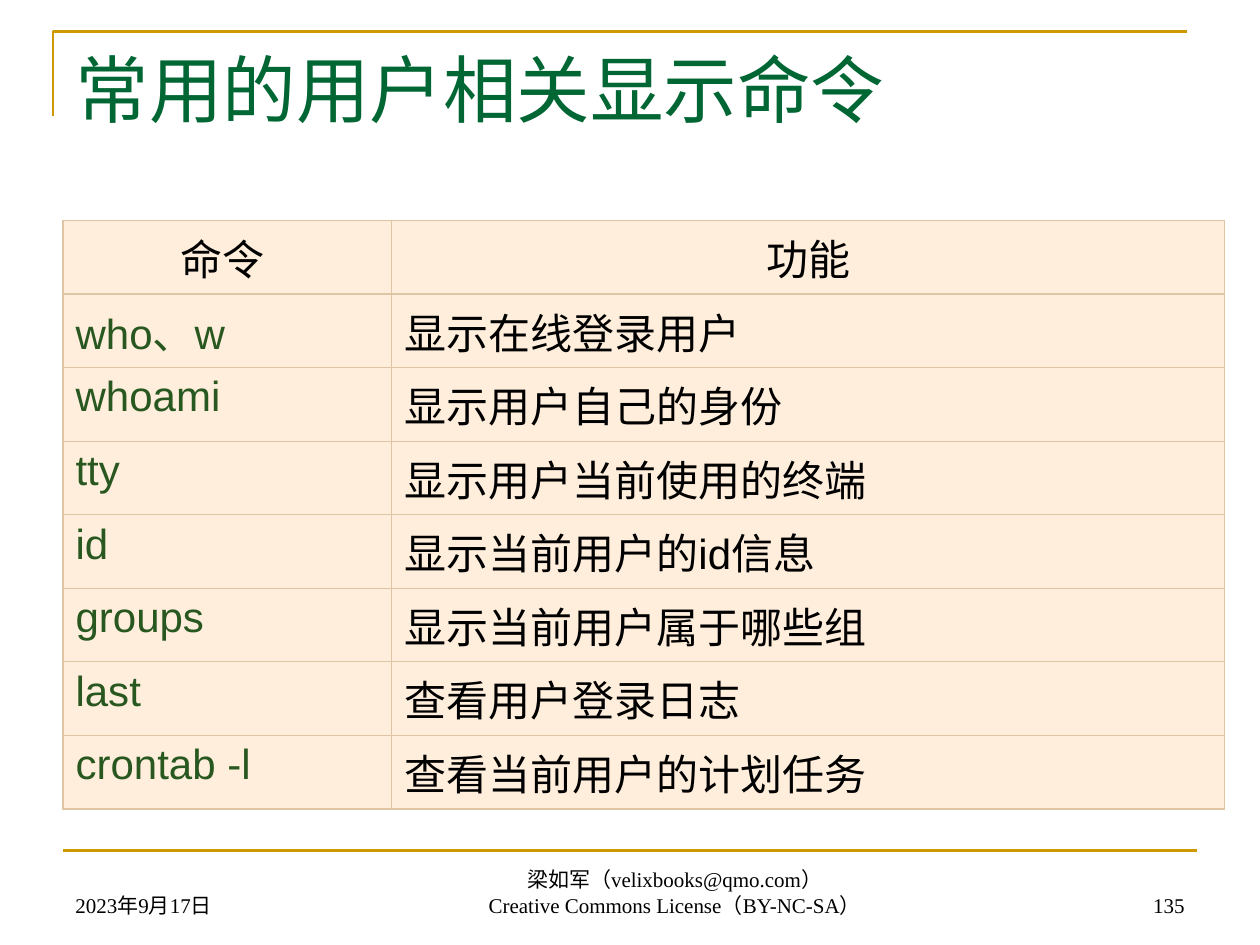
import pptx
import pptx.util
import pptx.dml.color
import pptx.enum.shapes
import pptx.enum.text
import pptx.oxml
import pptx.oxml.ns
from lxml import etree

Inches = pptx.util.Inches
Pt = pptx.util.Pt
ALIGN = pptx.enum.text.PP_ALIGN
ANCHOR = pptx.enum.text.MSO_ANCHOR

COLORS = {
    "gold": "CC9900",
    "title": "006633",
    "command": "285720",
    "text": "000000",
    "cell": "FFEEDC",
    "border": "DEC6A5",
}

COMMANDS = [
    ("命令 ", "功能"),
    ("who、w", "显示在线登录用户"),
    ("whoami", "显示用户自己的身份"),
    ("tty", "显示用户当前使用的终端"),
    ("id", "显示当前用户的id信息"),
    ("groups", "显示当前用户属于哪些组"),
    ("last", "查看用户登录日志"),
    ("crontab -l", "查看当前用户的计划任务"),
]


def rgb(name):
    return pptx.dml.color.RGBColor.from_string(COLORS[name])


def write(frame, lines, font, size, color, align):
    """Fill a text frame with one paragraph per line."""
    frame.text = "\n".join(lines)
    for paragraph in frame.paragraphs:
        paragraph.alignment = align
        for run in paragraph.runs:
            for key, value in {"name": font, "size": Pt(size), "bold": False}.items():
                setattr(run.font, key, value)
            run.font.color.rgb = rgb(color)


def style_rule(rule):
    rule.line.color.rgb = rgb("gold")
    rule.line.width = Pt(1.5)


def add_title(slide, left, top, width, height):
    # Corner rule
    builder = slide.shapes.build_freeform(Inches(left - 0.08), Inches(top + 0.62))
    builder.add_line_segments(
        [(Inches(left - 0.08), Inches(top - 0.05)),
         (Inches(left + width - 0.08), Inches(top - 0.05))], close=False)
    corner = builder.convert_to_shape()
    corner.fill.background()
    corner.shadow.inherit = False
    style_rule(corner)

    # Heading
    title = slide.shapes.title
    box = {"left": left, "top": top, "width": width, "height": height}
    for key, value in box.items():
        setattr(title, key, Inches(value))
    title.text_frame.vertical_anchor = ANCHOR.TOP
    write(title.text_frame, ["常用的用户相关显示命令"],
          "Times New Roman", 42, "title", ALIGN.LEFT)


def add_border(cell):
    properties = cell._tc.get_or_add_tcPr()
    for position, side in enumerate(("lnL", "lnR", "lnT", "lnB")):
        properties.insert(position, pptx.oxml.parse_xml(
            f'<a:{side} {pptx.oxml.ns.nsdecls("a")} w="{Pt(0.75)}"><a:solidFill>'
            f'<a:srgbClr val="{COLORS["border"]}"/></a:solidFill></a:{side}>'))


def add_commands(slide, left, top, width, height):
    table = slide.shapes.add_table(
        len(COMMANDS), 2, Inches(left), Inches(top), Inches(width), Inches(height)).table
    command_width = 2.61
    table.columns[0].width = Inches(command_width)
    table.columns[1].width = Inches(width - command_width)
    for row, entry in enumerate(COMMANDS):
        for column, words in enumerate(entry):
            cell = table.cell(row, column)
            cell.fill.solid()
            cell.fill.fore_color.rgb = rgb("cell")
            add_border(cell)
            color = "command" if row and column == 0 else "text"
            align = ALIGN.LEFT if row else ALIGN.CENTER
            write(cell.text_frame, [words], "Arial", 24, color, align)
            # Hanging indent
            indent = cell.text_frame.paragraphs[0]._p.get_or_add_pPr()
            indent.set("marL", str(Inches(0.38)))
            indent.set("indent", str(-Inches(0.38)))


def add_footer(slide, left, top, width, height):
    # Rule above the footer
    rule = slide.shapes.add_connector(
        pptx.enum.shapes.MSO_CONNECTOR.STRAIGHT,
        Inches(left), Inches(top), Inches(left + width), Inches(top))
    style_rule(rule)
    etree.SubElement(rule._element.spPr, pptx.oxml.ns.qn("a:effectLst"))

    # Date, author and page number
    side = 2.33
    parts = [
        (left, side, ALIGN.LEFT, ["2023年9月17日"]),
        (left + 1.9, 5.91, ALIGN.CENTER,
         ["梁如军（velixbooks@qmo.com）", "Creative Commons License（BY-NC-SA）"]),
        (left + width - side, side, ALIGN.RIGHT, ["135"]),
    ]
    for part_left, part_width, align, lines in parts:
        frame = slide.shapes.add_textbox(
            Inches(part_left), Inches(top + 0.08),
            Inches(part_width), Inches(height - 0.08)).text_frame
        frame.word_wrap = True
        frame.vertical_anchor = ANCHOR.BOTTOM
        write(frame, lines, "Times New Roman", 12, "text", align)


def main():
    deck = pptx.Presentation()
    deck.slide_width, deck.slide_height = Inches(10), Inches(7.5)
    slide = deck.slides.add_slide(deck.slide_layouts.get_by_name("Title Only"))
    add_title(slide, 0.5, 0.3, 9, 1.25)
    add_commands(slide, 0.5, 1.75, 9.22, 4.67)
    add_footer(slide, 0.5, 6.75, 9, 0.58)
    deck.save("out.pptx")


if __name__ == "__main__":
    main()
